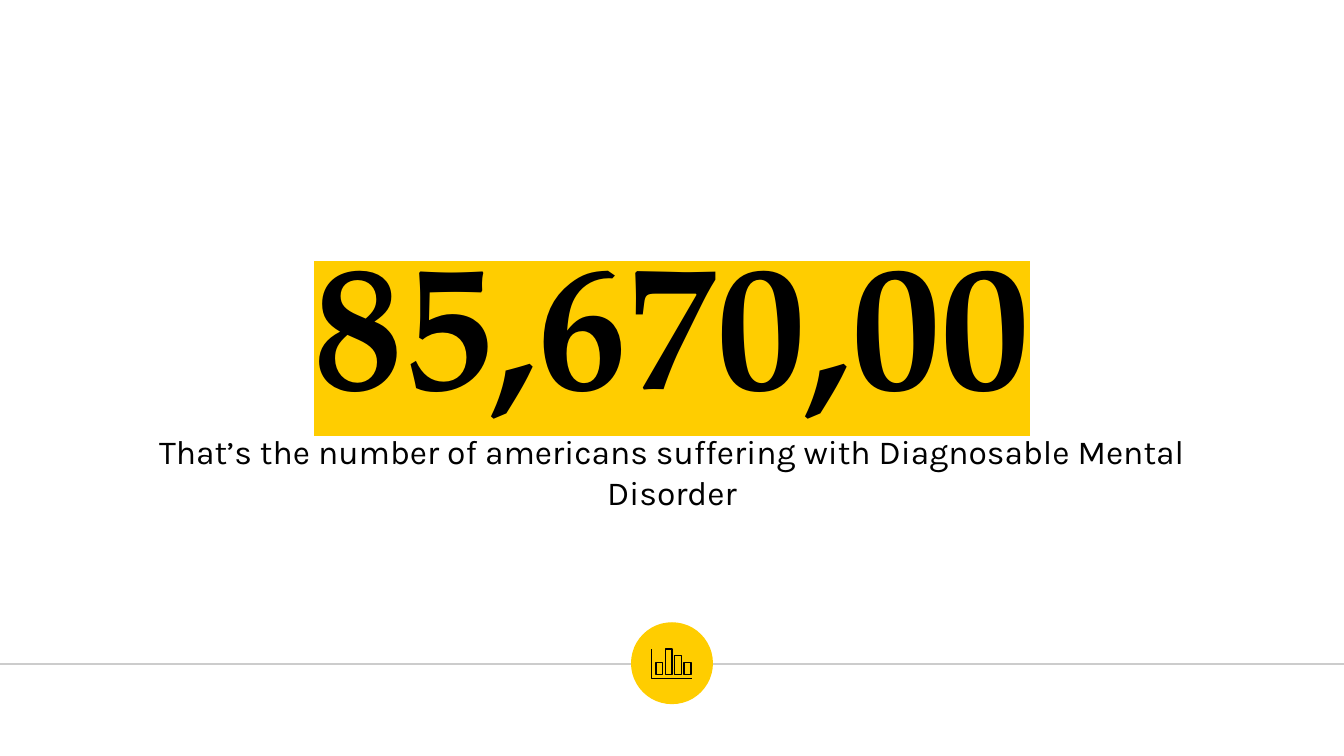
from lxml.etree import SubElement
from pptx import Presentation
from pptx.dml.color import RGBColor
from pptx.enum.shapes import MSO_CONNECTOR, MSO_SHAPE
from pptx.enum.text import MSO_ANCHOR, MSO_AUTO_SIZE, PP_ALIGN
from pptx.oxml.ns import qn
from pptx.util import Inches, Pt

YELLOW, BLACK, GRAY = "FFCD00", "000000", "CCCCCC"


def color(value):
    return RGBColor.from_string(value)


def set_attrs(obj, values):
    for name, value in values.items():
        setattr(obj, name, value)


def set_line(shape, value):
    shape.line.color.rgb = color(value)
    shape.line.width = Pt(0.75)


def fill_text(sp, box, text, frame, para, font, highlight=None):
    set_attrs(sp, dict(zip(("left", "top", "width", "height"), map(Inches, box))))
    tf = sp.text_frame
    margins = {f"margin_{side}": Inches(0.1) for side in ("left", "top", "right", "bottom")}
    set_attrs(tf, {"word_wrap": True, "auto_size": MSO_AUTO_SIZE.NONE, **margins, **frame})
    p = tf.paragraphs[0]
    set_attrs(p, {"alignment": PP_ALIGN.CENTER, **para})
    r = p.add_run()
    r.text = text
    set_attrs(r.font, font)
    r.font.color.rgb = color(BLACK)
    if highlight:
        mark = SubElement(r.font._element, qn("a:highlight"))
        SubElement(mark, qn("a:srgbClr")).set("val", highlight)
        r.font._element.find(qn("a:solidFill")).addnext(mark)


def add_outline(shapes, points, close):
    points = [(Inches(x), Inches(y)) for x, y in points]
    builder = shapes.build_freeform(*points[0])
    builder.add_line_segments(points[1:], close=close)
    sp = builder.convert_to_shape()
    sp.shadow.inherit = False
    sp.fill.background()
    set_line(sp, BLACK)


def add_chart_icon(s, x, y, w, h):
    icon = s.shapes.add_group_shape()
    add_outline(icon.shapes, [(x, y), (x, y + h), (x + w, y + h)], False)
    base, bar_w, step = y + 0.19, 0.05, 0.07
    for i, bar_h in enumerate((0.09, 0.19, 0.14, 0.09)):
        left, top = x + 0.03 + i * step, base - bar_h
        right = left + bar_w
        add_outline(icon.shapes, [(left, base), (left, top), (right, top), (right, base)], True)


def add_footer(s, x, y, w, h):
    middle = y + 0.31
    rule = s.shapes.add_connector(
        MSO_CONNECTOR.STRAIGHT, Inches(x), Inches(middle), Inches(x + w), Inches(middle))
    SubElement(rule._element.spPr, qn("a:effectLst"))
    set_line(rule, GRAY)
    badge = s.shapes.add_shape(
        MSO_SHAPE.OVAL, Inches(x + (w - h) / 2), Inches(y), Inches(h), Inches(h))
    badge.shadow.inherit = False
    badge.fill.solid()
    badge.fill.fore_color.rgb = color(YELLOW)
    badge.line.fill.background()
    add_chart_icon(s, x + w / 2 - 0.15, middle - 0.11, 0.3, 0.22)


def add_big_number(s, x, y, w, number, caption):
    fill_text(s.shapes.title, (x, y, w, 1.27), number,
              {"vertical_anchor": MSO_ANCHOR.MIDDLE}, {},
              {"size": Pt(96), "name": "TeX Gyre Pagella", "bold": True}, YELLOW)
    fill_text(s.placeholders[1], (x, y + 1.38, w, 0.86), caption,
              {"vertical_anchor": MSO_ANCHOR.TOP}, {"space_before": Pt(6)},
              {"size": Pt(18), "name": "Karla"})


prs = Presentation()
set_attrs(prs, {"slide_width": Inches(10), "slide_height": Inches(10) * 9 // 16})
s = prs.slides.add_slide(prs.slide_layouts[0])
add_footer(s, -0.01, 4.63, 10.02, 0.61)
add_big_number(s, 0.75, 1.73, 8.5, "85,670,00",
               "That\u2019s the number of americans suffering with Diagnosable Mental Disorder")
prs.save("out.pptx")
